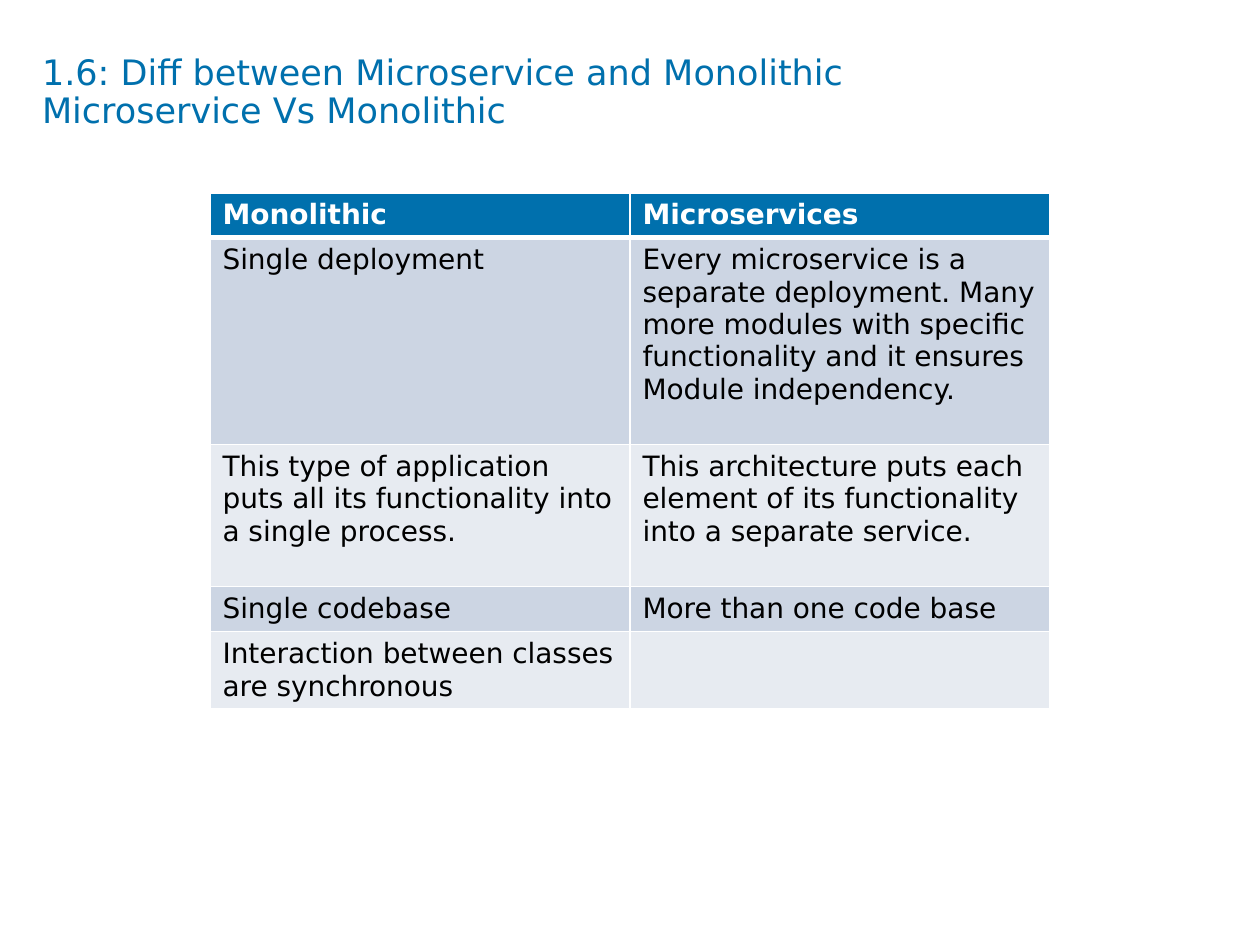
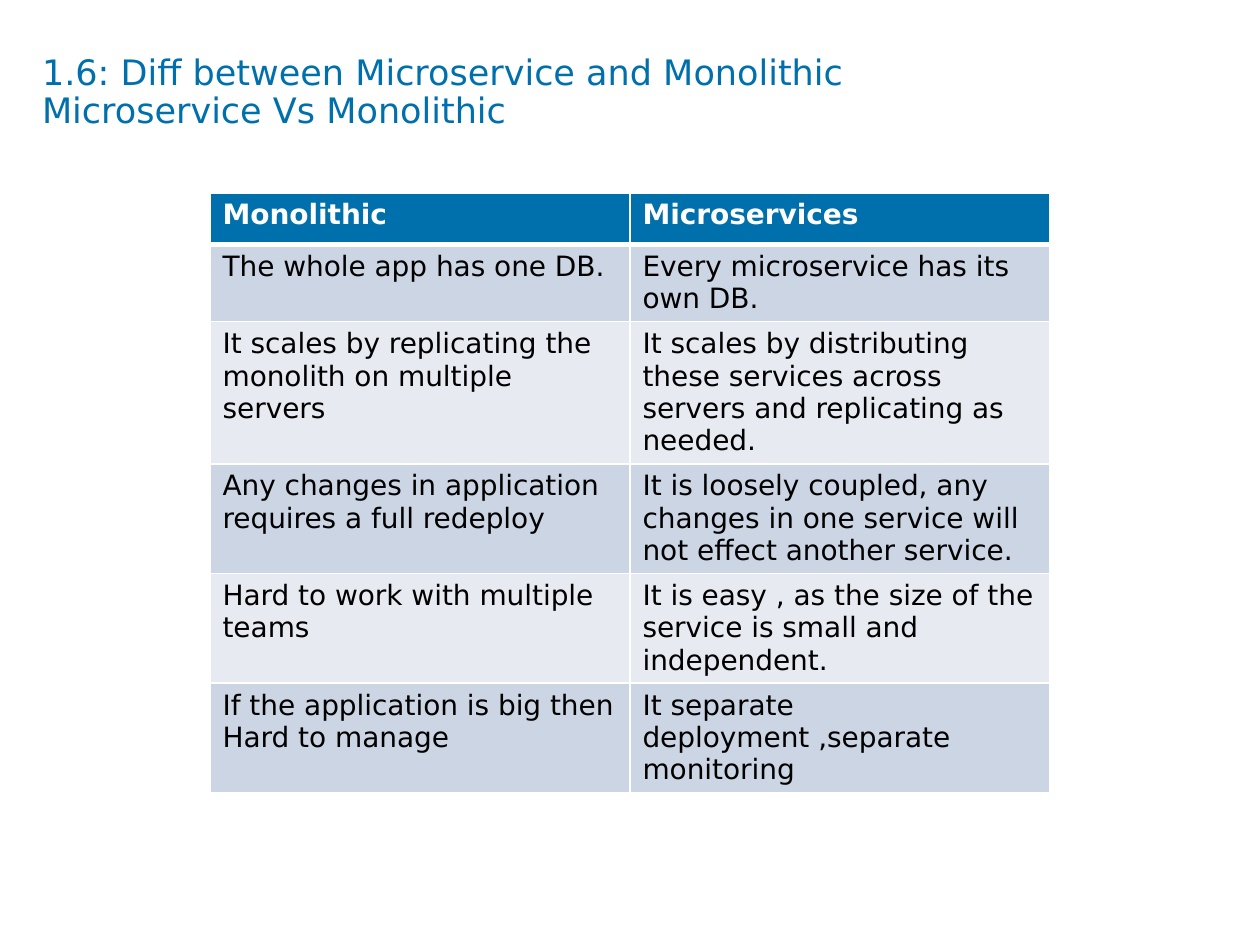
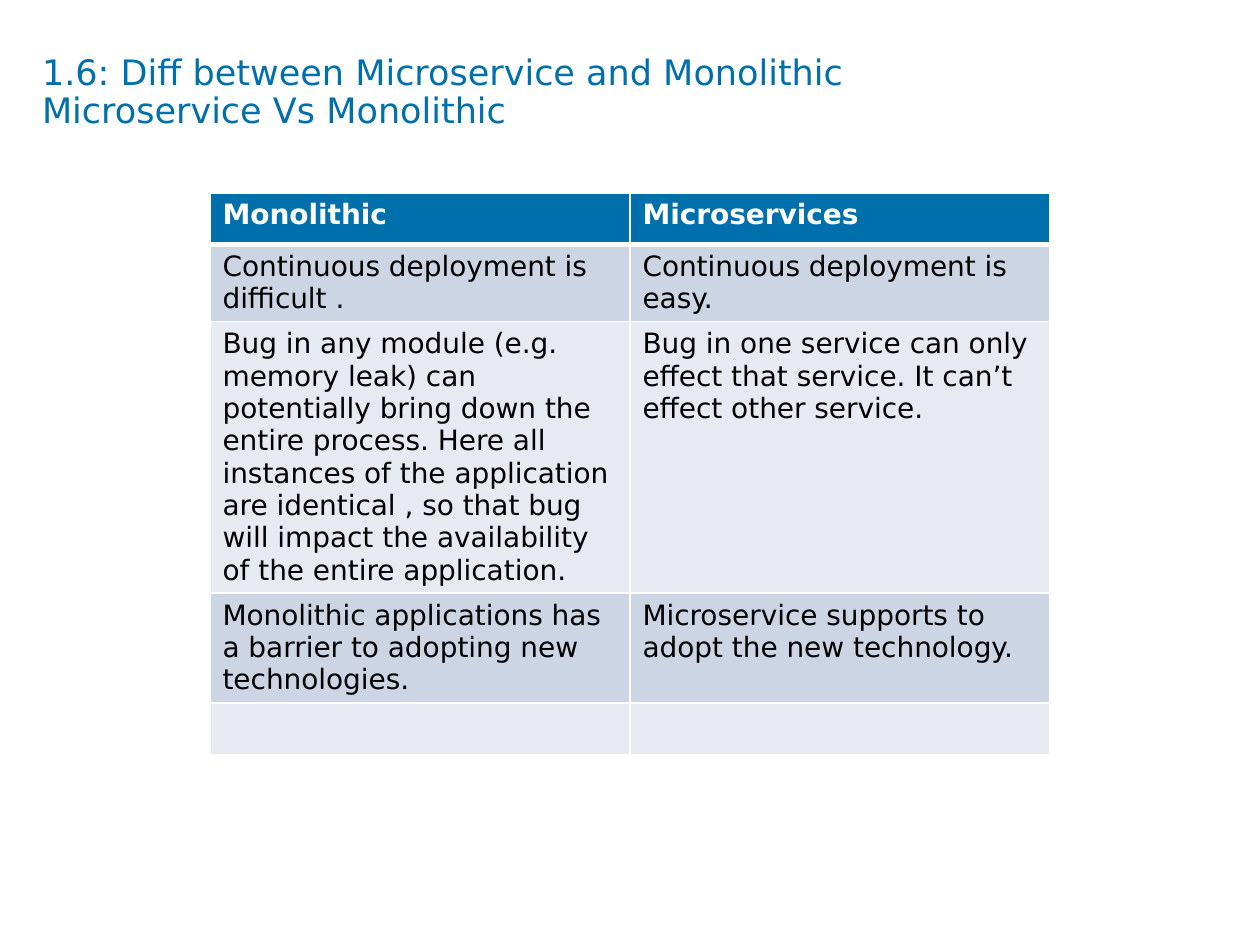
"""Builds three slides that compare monolithic and microservice applications."""
from dataclasses import dataclass

from lxml import etree
from pptx import Presentation
from pptx import util as u
from pptx.dml.color import RGBColor
from pptx.enum import text
from pptx.oxml.ns import qn


@dataclass(frozen=True)
class Theme:
    font: str = "DejaVu Sans"
    accent: str = "0070AD"
    bands: tuple[str, str] = ("CCD5E3", "E7EBF1")
    ink: str = "000000"
    paper: str = "FFFFFF"
    title_size: int = 20
    table_size: int = 16
    rule: float = 1
    header_rule: float = 3


@dataclass(frozen=True)
class Area:
    left: float
    top: float
    width: float
    height: float = 0

    def box(self) -> list[int]:
        shares = (self.left, self.top, self.width, self.height)
        return [round(share * side) for share, side in zip(shares, (WIDTH, HEIGHT) * 2)]


@dataclass(frozen=True)
class Comparison:
    rows: list[tuple[str, str]]
    heights: list[float]


THEME = Theme()
WIDTH, HEIGHT = u.Inches(10), u.Inches(7.5)
TITLE_AREA = Area(1 / 30, 0.44 / 7.5, 9.04 / 10, 0.94 / 7.5)
TABLE_AREA = Area(1 / 6, 1.53 / 7.5, 4 / 6)
TITLE = "1.6: Diff between Microservice and Monolithic\nMicroservice Vs Monolithic"
HEADER = ("Monolithic", "Microservices")

COMPARISONS = [
    Comparison([
        ("Single deployment",
         "Every microservice is a separate deployment. Many more modules with "
         "specific functionality and it ensures Module independency."),
        ("This type of application puts all its functionality into a single process.",
         "This architecture puts each element of its functionality into a separate service."),
        ("Single codebase", "More than one code base"),
        ("Interaction between classes are synchronous", ""),
    ], [0.33, 1.64, 1.13, 0.33, 0.57]),
    Comparison([
        ("The whole app has one DB.", "Every microservice has its own DB."),
        ("It scales by replicating the monolith on multiple servers",
         "It scales by distributing these services across servers and replicating as needed."),
        ("Any changes in application requires a full redeploy",
         "It is loosely coupled, any changes in one service will not effect another service."),
        ("Hard to work with multiple teams",
         "It is easy , as the size of the service is small and independent."),
        ("If the application is big then Hard to manage",
         "It separate deployment ,separate monitoring"),
    ], [0.41] * 6),
    Comparison([
        ("Continuous deployment is difficult .", "Continuous deployment is easy."),
        ("Bug in any module (e.g. memory leak) can potentially bring down the entire "
         "process. Here all instances of the application are identical , so that bug "
         "will impact the availability of the entire application.",
         "Bug in one service can only effect that service. It can’t effect other service."),
        ("Monolithic applications has a barrier to adopting new technologies.",
         "Microservice supports to adopt the new technology."),
        ("", ""),
    ], [0.41] * 5),
]


def write(tf, content: str, *, size: float, color: str, bold: bool = False,
          spacing: float | None = None) -> None:
    """Fill a text frame with one left-aligned paragraph."""
    p = tf.paragraphs[0]
    p.alignment = text.PP_ALIGN.LEFT
    p.line_spacing = spacing
    for i, line in enumerate(content.split("\n") if content else []):
        if i:
            p.add_line_break()
        r = p.add_run()
        r.text = line
        r.font.name, r.font.size, r.font.bold = THEME.font, u.Pt(size), bold
        r.font.color.rgb = RGBColor.from_string(color)


def set_borders(cell, top: float, bottom: float) -> None:
    """Rule the four sides of a table cell."""
    properties = cell._tc.get_or_add_tcPr()
    widths = {"lnL": THEME.rule, "lnR": THEME.rule, "lnT": top, "lnB": bottom}
    for i, (side, width) in enumerate(widths.items()):
        line = etree.Element(qn(f"a:{side}"), w=str(u.Pt(width)))
        fill = etree.SubElement(line, qn("a:solidFill"))
        etree.SubElement(fill, qn("a:srgbClr"), val=THEME.paper)
        properties.insert(i, line)


def add_title(s) -> None:
    """Place and format the slide title."""
    sp = s.shapes.title
    sp.left, sp.top, sp.width, sp.height = TITLE_AREA.box()
    tf = sp.text_frame
    tf.margin_left = tf.margin_top = tf.margin_right = tf.margin_bottom = 0
    tf.vertical_anchor = text.MSO_ANCHOR.TOP
    tf.auto_size = text.MSO_AUTO_SIZE.NONE
    tf.word_wrap = True
    write(tf, TITLE, size=THEME.title_size, color=THEME.accent, spacing=0.9)


def add_comparison(s, comparison: Comparison) -> None:
    """Draw the two-column table with a header and banded rows."""
    rows = [HEADER, *comparison.rows]
    left, top, width, _ = TABLE_AREA.box()
    height = u.Inches(sum(comparison.heights))
    table = s.shapes.add_table(len(rows), len(HEADER), left, top, width, height).table
    for r, (row, row_height) in enumerate(zip(rows, comparison.heights)):
        is_header = r == 0
        table.rows[r].height = u.Inches(row_height)
        for c, content in enumerate(row):
            cell = table.cell(r, c)
            cell.fill.solid()
            cell.fill.fore_color.rgb = RGBColor.from_string(
                THEME.accent if is_header else THEME.bands[(r - 1) % 2])
            set_borders(cell, top=THEME.header_rule if r == 1 else THEME.rule,
                        bottom=THEME.header_rule if is_header else THEME.rule)
            write(cell.text_frame, content, size=THEME.table_size, bold=is_header,
                  color=THEME.paper if is_header else THEME.ink)


def main() -> None:
    """Build and save the presentation."""
    prs = Presentation()
    prs.slide_width, prs.slide_height = WIDTH, HEIGHT
    for comparison in COMPARISONS:
        s = prs.slides.add_slide(prs.slide_layouts.get_by_name("Title Only"))
        add_title(s)
        add_comparison(s, comparison)
    prs.save("out.pptx")


if __name__ == "__main__":
    main()
